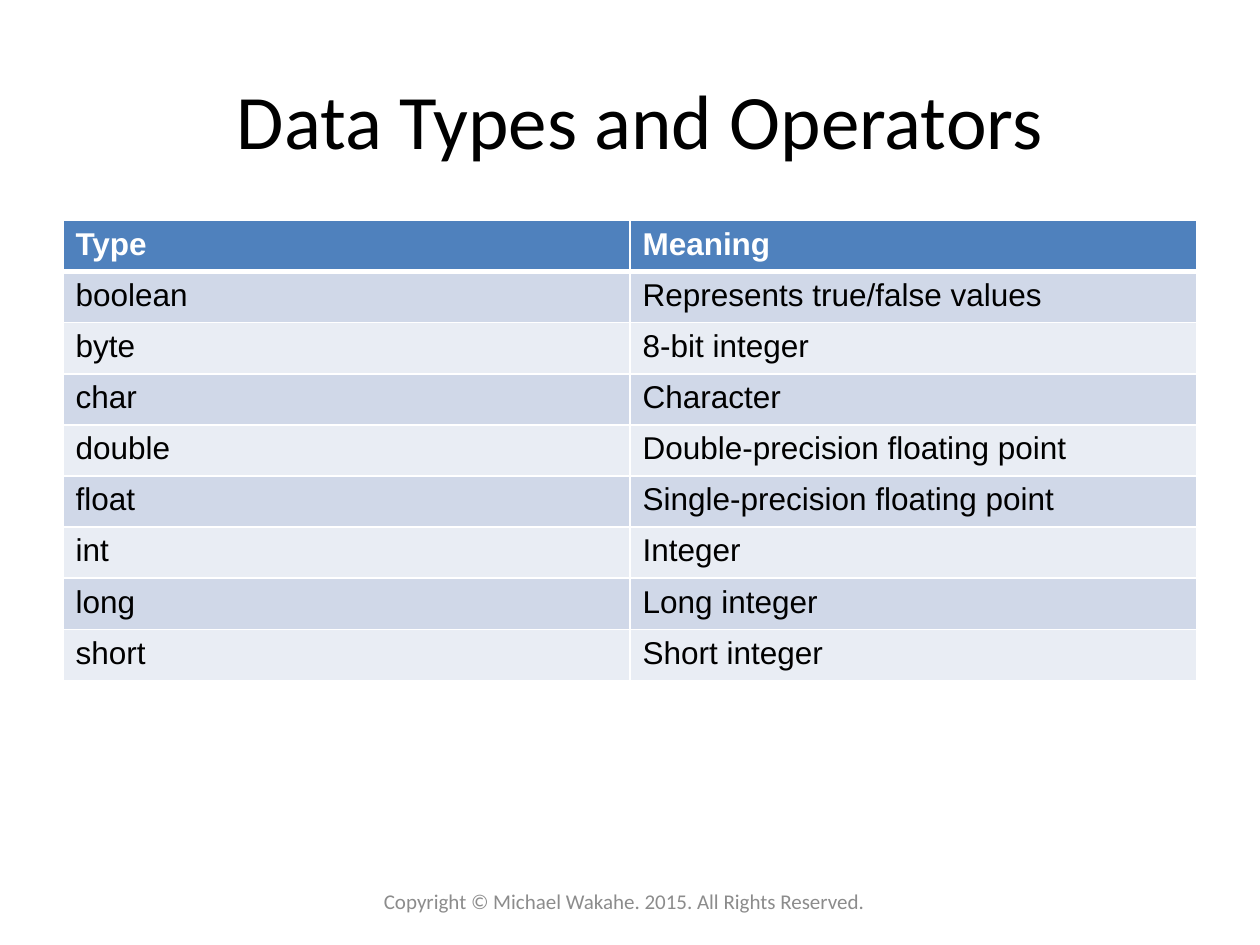
"""Build the slide that lists the primitive data types and their meanings."""
from lxml import etree
from pptx import Presentation
from pptx.dml.color import RGBColor
from pptx.enum.text import MSO_ANCHOR, PP_ALIGN
from pptx.oxml.ns import qn
from pptx.util import Inches, Pt

LEFT, CENTER = PP_ALIGN.LEFT, PP_ALIGN.CENTER
TOP, MIDDLE = MSO_ANCHOR.TOP, MSO_ANCHOR.MIDDLE

TITLE = "Data Types and Operators"
FOOTER = "Copyright © Michael Wakahe. 2015. All Rights Reserved."
TYPES = [
    ("Type", "Meaning"),
    ("boolean", "Represents true/false values"),
    ("byte", "8-bit integer"),
    ("char", "Character"),
    ("double", "Double-precision floating point"),
    ("float", "Single-precision floating point"),
    ("int", "Integer"),
    ("long", "Long integer"),
    ("short", "Short integer"),
]
THEME = {
    "heading_font": "Calibri", "table_font": "Arial",
    "title_size": 44, "table_size": 18, "footer_size": 12,
    "text": "000000", "muted": "8C8C8C", "header_text": "FFFFFF",
    "header": "4F81BD", "bands": ("D0D8E8", "E9EDF4"),
    "border": "FFFFFF", "thin": 1, "thick": 3,
}
SLIDE_SIZE = (10, 7.5)
TITLE_BOX = (1.58, 0.33, 7, 1.22)
TABLE_BOX = (0.5, 1.75, 9, 3.65)
FOOTER_BOX = (2.58, 6.95, 4.75, 0.4)


def write_text(text_frame, text, font, size, color, bold=False, align=LEFT):
    paragraph = text_frame.paragraphs[0]
    paragraph.alignment = align
    run = paragraph.add_run()
    run.text = text
    run.font.name = font
    run.font.size = Pt(size)
    run.font.bold = bold
    run.font.color.rgb = RGBColor.from_string(color)


def add_label(slide, box, text, **text_format):
    text_frame = slide.shapes.add_textbox(*map(Inches, box)).text_frame
    text_frame.word_wrap = True
    text_frame.vertical_anchor = MIDDLE
    write_text(text_frame, text, THEME["heading_font"], align=CENTER, **text_format)


def set_borders(cell, widths):
    properties = cell._tc.get_or_add_tcPr()
    for side, width in widths.items():
        line = etree.SubElement(properties, qn(f"a:ln{side}"), w=str(Pt(width)))
        fill = etree.SubElement(line, qn("a:solidFill"))
        etree.SubElement(fill, qn("a:srgbClr"), val=THEME["border"])


def add_type_table(slide, box):
    row_count, column_count = len(TYPES), len(TYPES[0])
    table = slide.shapes.add_table(row_count, column_count, *map(Inches, box)).table
    for column in table.columns:
        column.width = Inches(box[2] / column_count)
    for row_index, values in enumerate(TYPES):
        table.rows[row_index].height = Inches(box[3] / row_count)
        is_header = row_index == 0
        fill_color = THEME["header"] if is_header else THEME["bands"][(row_index - 1) % 2]
        widths = dict.fromkeys("LRTB", THEME["thin"])
        if is_header:
            widths["B"] = THEME["thick"]
        elif row_index == 1:
            widths["T"] = THEME["thick"]
        for column_index, value in enumerate(values):
            cell = table.cell(row_index, column_index)
            set_borders(cell, widths)
            cell.fill.solid()
            cell.fill.fore_color.rgb = RGBColor.from_string(fill_color)
            cell.vertical_anchor = TOP
            write_text(cell.text_frame, value, THEME["table_font"], THEME["table_size"],
                       THEME["header_text" if is_header else "text"], bold=is_header)


def main():
    presentation = Presentation()
    presentation.slide_width, presentation.slide_height = map(Inches, SLIDE_SIZE)
    slide = presentation.slides.add_slide(presentation.slide_layouts[6])
    add_label(slide, TITLE_BOX, TITLE, size=THEME["title_size"], color=THEME["text"])
    add_type_table(slide, TABLE_BOX)
    add_label(slide, FOOTER_BOX, FOOTER, size=THEME["footer_size"], color=THEME["muted"])
    presentation.save("out.pptx")


main()
